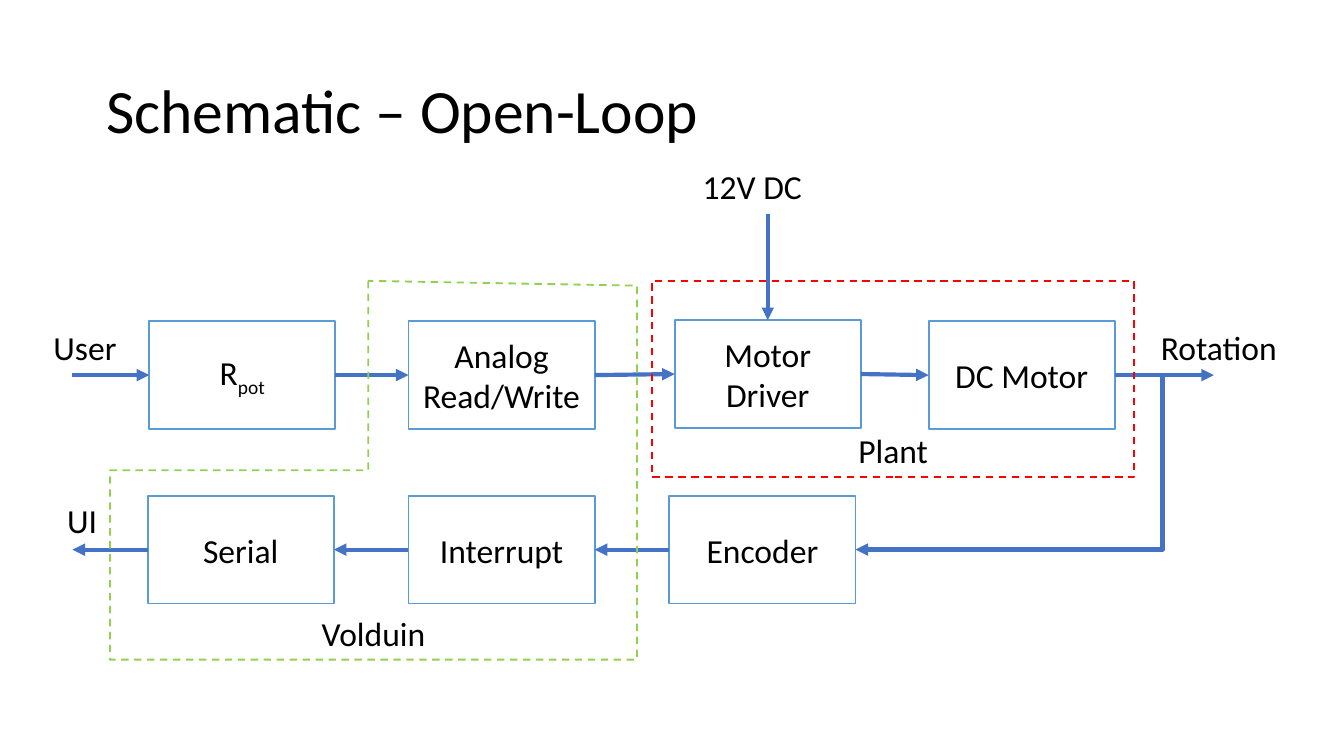
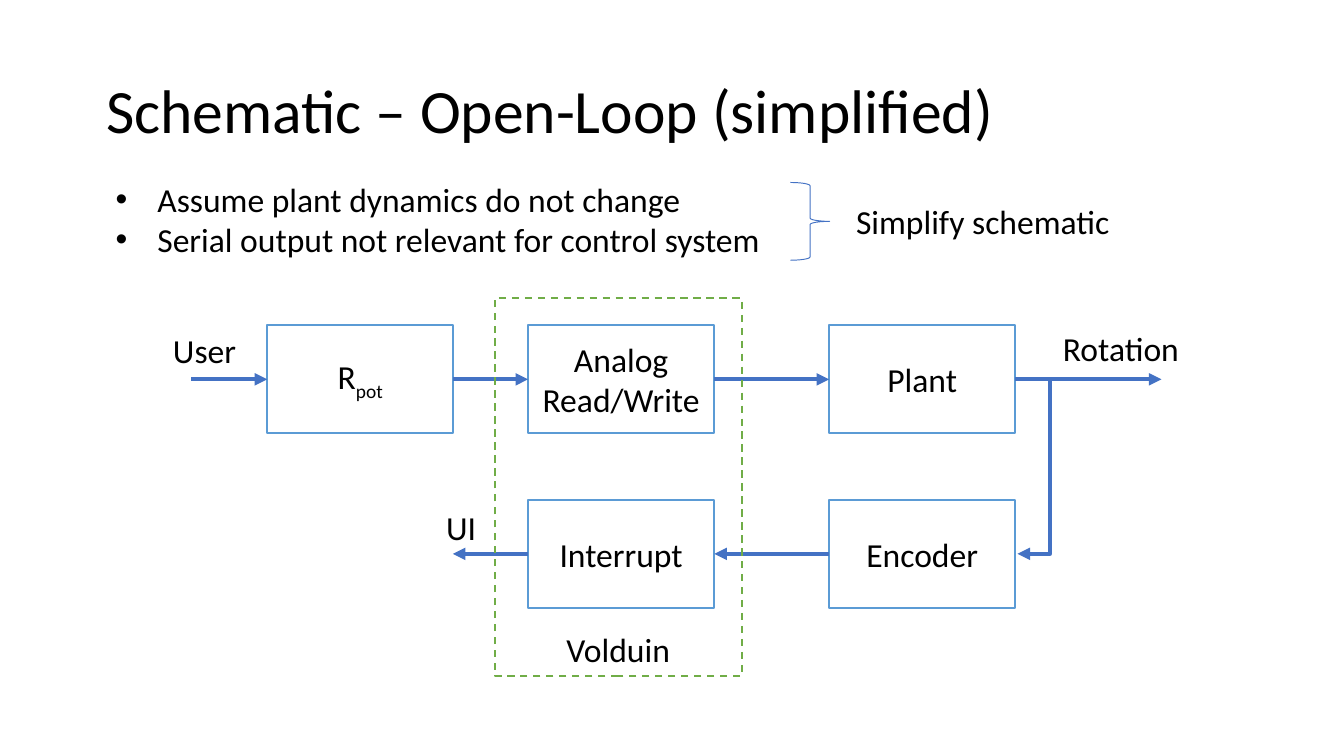
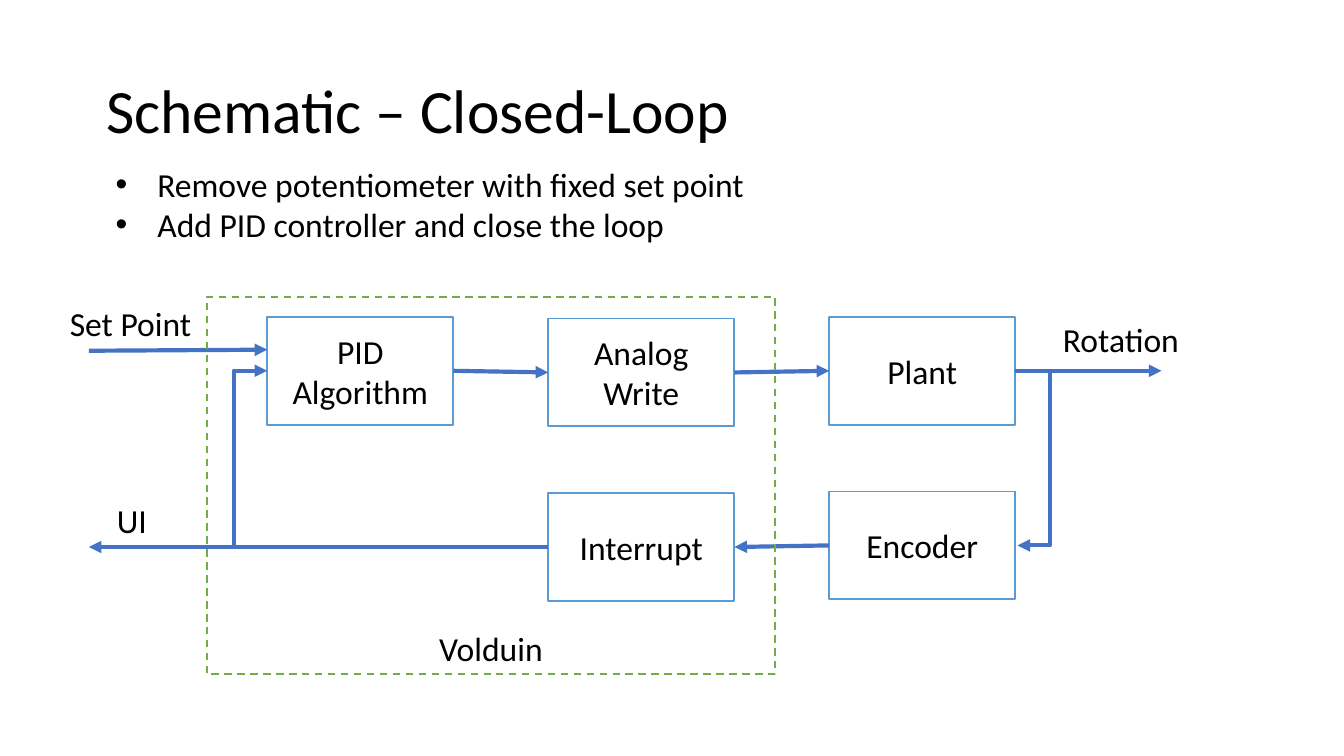
from dataclasses import dataclass
from pptx import Presentation
from pptx.dml.color import RGBColor
from pptx.enum.dml import MSO_LINE_DASH_STYLE as Dash
from pptx.enum.shapes import MSO_CONNECTOR as Route, MSO_SHAPE as Preset
from pptx.enum.text import MSO_ANCHOR as Anchor, MSO_AUTO_SIZE as Fit, PP_ALIGN as Align
from pptx.oxml.ns import qn
from pptx.util import Cm, Pt
from lxml.etree import SubElement


# Colours, type sizes and the measures that every slide shares
@dataclass(frozen=True)
class Theme:
    font: str = "Calibri"
    ink: str = "000000"
    paper: str = "FFFFFF"
    block_line: str = "5B9BD5"
    arrow: str = "4472C4"
    board: str = "70AD47"
    board_light: str = "92D050"
    plant: str = "FF0000"
    title_size: float = 33
    text_size: float = 18
    thin: float = 0.5
    outline: float = 1
    arrow_width: float = 2.25


@dataclass(frozen=True)
class Box:
    """A region in centimetres."""
    left: float
    top: float
    width: float
    height: float

    def inner(self, x, y, width, height):
        return Box(self.left + x, self.top + y, width, height)

    def point(self, x, y):
        return Cm(self.left + x), Cm(self.top + y)

    def lengths(self):
        return [Cm(n) for n in (self.left, self.top, self.width, self.height)]


THEME = Theme()
BLOCK_W, BLOCK_H, ROW_STEP = 3.52, 2.04, 3.3
TOP, LEFT, RIGHT = 0, 1, 3          # connection sites of a rectangle
BOARD_NAME = "Volduin"
LOOP_AREA = Box(1, 5.6, 21, 7.2)    # diagram below a list


# Text
def add_span(para, text, size=THEME.text_size, baseline=None):
    span = para.add_run()
    span.text = text
    span.font.name = THEME.font
    span.font.size = Pt(size)
    span.font.color.rgb = RGBColor.from_string(THEME.ink)
    if baseline:
        span.font._element.set("baseline", str(baseline))


def add_title(page, text):
    title = page.shapes.title
    title.left, title.top, title.width, title.height = Box(1.75, 0.76, 21.89, 2.77).lengths()
    frame = title.text_frame
    frame.auto_size = Fit.NONE
    frame.vertical_anchor = Anchor.MIDDLE
    para = frame.paragraphs[0]
    para.alignment = Align.LEFT
    para.line_spacing = 0.9
    add_span(para, text, THEME.title_size)


def add_list(page, box, lines):
    body = page.placeholders[1]
    body.left, body.top, body.width, body.height = box.lengths()
    frame = body.text_frame
    frame.auto_size = Fit.NONE
    for number, line in enumerate(lines):
        para = frame.add_paragraph() if number else frame.paragraphs[0]
        para.space_before = Pt(0)
        props = para._p.get_or_add_pPr()
        props.set("marL", str(Cm(0.79)))
        props.set("indent", str(-Cm(0.79)))
        add_span(para, line)


def add_label(page, box, text):
    label = page.shapes.add_textbox(*box.lengths())
    label.text_frame.word_wrap = False
    label.text_frame.auto_size = Fit.SHAPE_TO_FIT_TEXT
    add_span(label.text_frame.paragraphs[0], text)


# Outlined shapes
def style_outline(shape, colour, width=THEME.outline, dashed=False, filled=False):
    shape.shadow.inherit = False
    if filled:
        shape.fill.solid()
        shape.fill.fore_color.rgb = RGBColor.from_string(THEME.paper)
    else:
        shape.fill.background()
    shape.line.color.rgb = RGBColor.from_string(colour)
    shape.line.width = Pt(width)
    if dashed:
        shape.line.dash_style = Dash.DASH


def add_caption(shape, text, anchor, subscript=None):
    frame = shape.text_frame
    frame.word_wrap = True
    frame.vertical_anchor = anchor
    para = frame.paragraphs[0]
    para.alignment = Align.CENTER
    add_span(para, text)
    if subscript:
        add_span(para, subscript, baseline=-25000)


def add_block(page, area, x, y, text, subscript=None):
    box = area.inner(x, y, BLOCK_W, BLOCK_H)
    block = page.shapes.add_shape(Preset.RECTANGLE, *box.lengths())
    style_outline(block, THEME.block_line, filled=True)
    add_caption(block, text, Anchor.MIDDLE, subscript)
    return block


def add_group_frame(page, box, text, colour):
    group = page.shapes.add_shape(Preset.RECTANGLE, *box.lengths())
    style_outline(group, colour, dashed=True)
    add_caption(group, text, Anchor.BOTTOM)


def add_group_outline(page, area, corners, text, colour):
    points = [area.point(x, y) for x, y in corners]
    builder = page.shapes.build_freeform(*points[0], scale=1.0)
    builder.add_line_segments(points[1:], close=True)
    group = builder.convert_to_shape()
    style_outline(group, colour, dashed=True)
    add_caption(group, text, Anchor.BOTTOM)


# Arrows
def site_point(block, site):
    x = block.left + {LEFT: 0, TOP: block.width // 2, RIGHT: block.width}[site]
    y = block.top + (0 if site == TOP else block.height // 2)
    return x, y


def add_arrow(page, start, end, bend=None):
    """Join two ends, each (block, site) or a point; bend is the x of the turn."""
    ends = [e if isinstance(e[0], int) else site_point(*e) for e in (start, end)]
    (x1, y1), (x2, y2) = ends
    route = Route.STRAIGHT if bend is None else Route.ELBOW
    arrow = page.shapes.add_connector(route, x1, y1, x2, y2)
    if not isinstance(start[0], int):
        arrow.begin_connect(*start)
    if not isinstance(end[0], int):
        arrow.end_connect(*end)
    arrow.line.color.rgb = RGBColor.from_string(THEME.arrow)
    arrow.line.width = Pt(THEME.arrow_width)
    SubElement(arrow.line._get_or_add_ln(), qn("a:tailEnd"), type="triangle")
    props = arrow._element.spPr
    SubElement(props, qn("a:effectLst"))
    if bend is not None:
        guides = props.find(qn("a:prstGeom")).get_or_add_avLst()
        share = round((bend - x1) / (x2 - x1) * 100000)
        SubElement(guides, qn("a:gd"), name="adj1", fmla=f"val {share}")


def entry_point(area, x, block):
    """A point at x, level with the middle of the block."""
    return area.point(x, 0)[0], site_point(block, LEFT)[1]


# Regions
def add_full_schematic(page, area):
    row = 3.07
    low = row + ROW_STEP
    analog = add_block(page, area, 6.97, row, "Analog Read/Write")
    pot = add_block(page, area, 2.07, row, "R", "pot")
    driver = add_block(page, area, 12, row - 0.02, "Motor Driver")
    motor = add_block(page, area, 16.8, row, "DC Motor")
    encoder = add_block(page, area, 11.9, low, "Encoder")
    interrupt = add_block(page, area, 6.97, low, "Interrupt")
    serial = add_block(page, area, 2.04, low, "Serial")

    # Forward chain, then the way back
    for source, target in ((pot, analog), (analog, driver), (driver, motor)):
        add_arrow(page, (source, RIGHT), (target, LEFT))
    for source, target in ((encoder, interrupt), (interrupt, serial)):
        add_arrow(page, (source, LEFT), (target, RIGHT))

    # Inputs and outputs
    add_arrow(page, entry_point(area, 0.62, pot), (pot, LEFT))
    add_arrow(page, (motor, RIGHT), entry_point(area, 22.19, motor))
    add_arrow(page, (serial, LEFT), entry_point(area, 0.62, serial))
    add_arrow(page, (site_point(driver, TOP)[0], area.point(0, 1.04)[1]), (driver, TOP))
    add_arrow(page, entry_point(area, 20.46, motor), (encoder, RIGHT),
              bend=area.point(21.22, 0)[0])

    # Groups
    add_group_outline(page, area, [(6.21, 2.31), (6.21, 5.89), (1.33, 5.89), (1.33, 9.47),
                                   (11.29, 9.47), (11.29, 2.4)], BOARD_NAME, THEME.board_light)
    add_group_frame(page, area.inner(11.57, 2.31, 9.12, 3.71), "Plant", THEME.plant)

    for x, y, width, text in ((0.27, 6.32, 1.09, "UI"), (0.01, 3.05, 1.73, "User"),
                              (20.94, 3.05, 2.72, "Rotation"), (12.28, 0.02, 2.41, "12V DC")):
        add_label(page, area.inner(x, y, width, 1.02), text)


def add_plant_loop(page, area, row):
    """Plant with its output, and the encoder that reads it back."""
    column = 14.67
    plant = add_block(page, area, column, row, "Plant")
    encoder = add_block(page, area, column, row + ROW_STEP, "Encoder")
    add_arrow(page, (plant, RIGHT), entry_point(area, 20.95, plant))
    add_arrow(page, (plant, RIGHT), entry_point(area, column + BLOCK_W + 0.04, encoder),
              bend=area.point(18.84, 0)[0])
    add_label(page, area.inner(18.84, row - 0.08, 2.72, 1.02), "Rotation")
    return plant, encoder


def add_simplified_schematic(page, area):
    row = 0.55
    low = row + ROW_STEP
    pot = add_block(page, area, 4.05, row, "R", "pot")
    analog = add_block(page, area, 8.98, row, "Analog Read/Write")
    interrupt = add_block(page, area, 8.98, low, "Interrupt")
    plant, encoder = add_plant_loop(page, area, row)

    add_arrow(page, entry_point(area, 2.61, pot), (pot, LEFT))
    add_arrow(page, (pot, RIGHT), (analog, LEFT))
    add_arrow(page, (analog, RIGHT), (plant, LEFT))
    add_arrow(page, (encoder, LEFT), (interrupt, RIGHT))
    add_arrow(page, (interrupt, LEFT), entry_point(area, 7.56, interrupt))

    add_label(page, area.inner(7.18, low, 1.09, 1.02), "UI")
    add_label(page, area.inner(2.02, row - 0.03, 1.73, 1.02), "User")
    add_group_frame(page, area.inner(8.35, 0.04, 4.67, 7.14), BOARD_NAME, THEME.board)


def add_closed_schematic(page, area):
    row = 0.39
    low = row + ROW_STEP + 0.03
    pid = add_block(page, area, 4.05, row, "PID Algorithm")
    analog = add_block(page, area, 9.36, row + 0.03, "Analog Write")
    interrupt = add_block(page, area, 9.36, low, "Interrupt")
    plant, encoder = add_plant_loop(page, area, row)

    add_arrow(page, area.point(0.68, 1.03), area.point(4.05, 1.01))
    add_arrow(page, (pid, RIGHT), (analog, LEFT))
    add_arrow(page, (analog, RIGHT), (plant, LEFT))
    add_arrow(page, (encoder, LEFT), (interrupt, RIGHT))
    add_arrow(page, (interrupt, LEFT), entry_point(area, 0.68, interrupt))
    add_arrow(page, (interrupt, LEFT), (pid, LEFT), bend=area.point(3.42, 0)[0])

    add_label(page, area.inner(0.96, low, 1.09, 1.02), "UI")
    add_label(page, area.inner(0.07, 0.01, 2.84, 1.02), "Set Point")
    add_group_frame(page, area.inner(2.91, 0.01, 10.74, 7.14), BOARD_NAME, THEME.board)


def add_conclusion(page, box, text):
    """A brace that gathers the list, and what follows from it."""
    brace = page.shapes.add_shape(Preset.RIGHT_BRACE, *box.inner(0, 0, 0.74, box.height).lengths())
    style_outline(brace, THEME.arrow, THEME.thin)
    add_label(page, box.inner(0.99, 0.23, box.width - 0.99, 1.02), text)


def add_page(deck, title, lines=None, list_top=0):
    layout = deck.slide_layouts[1 if lines else 5]
    page = deck.slides.add_slide(layout)
    add_title(page, title)
    if lines:
        add_list(page, Box(1.93, list_top, 15.34, 1.8), lines)
    return page


# Slides
deck = Presentation()
deck.slide_width, deck.slide_height = Cm(25.4), Cm(14.29)

page = add_page(deck, "Schematic – Open-Loop")
add_full_schematic(page, Box(0.75, 3, 23.7, 9.5))

page = add_page(deck, "Schematic – Open-Loop (simplified)",
                ["Assume plant dynamics do not change",
                 "Serial output not relevant for control system"], 3.25)
add_conclusion(page, Box(14.94, 3.45, 6.58, 1.47), "Simplify schematic")
add_simplified_schematic(page, LOOP_AREA)

page = add_page(deck, "Schematic – Closed-Loop",
                ["Remove potentiometer with fixed set point",
                 "Add PID controller and close the loop"], 2.97)
add_closed_schematic(page, LOOP_AREA)

deck.save("out.pptx")
